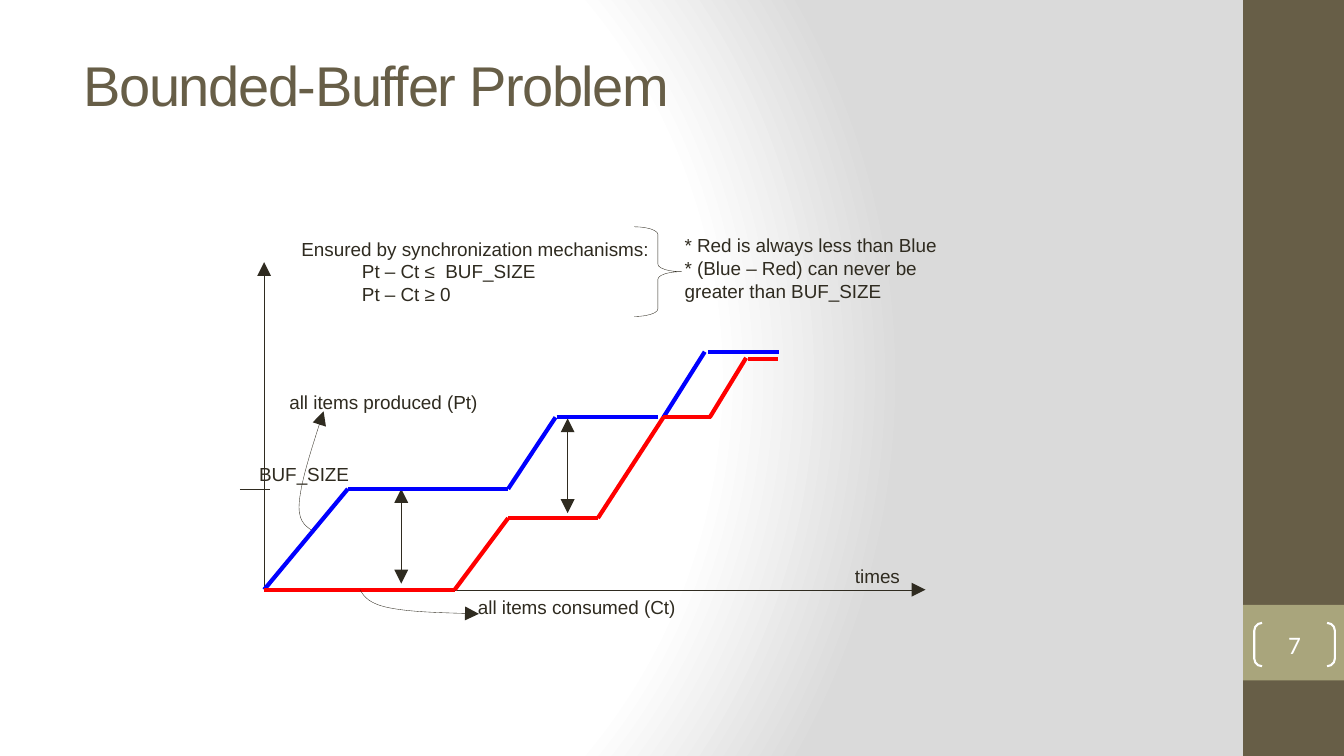
from itertools import pairwise

from pptx import Presentation
from pptx.dml.color import RGBColor
from pptx.enum.shapes import MSO_CONNECTOR as Link, MSO_SHAPE as Preset
from pptx.enum.text import MSO_ANCHOR as Anchor, PP_ALIGN as Align
from pptx.oxml import parse_xml
from pptx.oxml.ns import nsdecls, qn
from pptx.util import Pt
from lxml.etree import SubElement

PX = 9144  # EMU per px, 100 px to the inch
INK, BROWN, OLIVE, WHITE = "2F2B20", "675E47", "A9A57C", "FFFFFF"
BLUE, RED = "0000FF", "FF0000"
THIN, THICK = 0.25, 3

# Content
TITLE = "Bounded-Buffer Problem"
PAGE_NUMBER = "7"
# left, top, width, height, wrap, lines
LABELS = [
    (250, 455, 111, 30, False, ["BUF_SIZE"]),
    (280, 384, 204, 30, False, ["all items produced (Pt)"]),
    (467, 587, 214, 30, False, ["all items consumed (Ct)"]),
    (352, 254, 189, 53, False, ["Pt – Ct ≤  BUF_SIZE", "Pt – Ct ≥ 0"]),
    (292, 232, 364, 30, False, ["Ensured by synchronization mechanisms:"]),
    (841, 556, 60, 30, False, ["times"]),
    (672, 228, 278, 76, True, ["* Red is always less than Blue",
                               "* (Blue – Red) can never be greater than BUF_SIZE"]),
]
ORIGIN, BUFFER_Y = (262, 585), 485
# start, end, arrowheads
RULES = [
    (ORIGIN, (918, 585), ["tailEnd"]),
    (ORIGIN, (262, 260), ["tailEnd"]),
    ((238, BUFFER_Y), (268, BUFFER_Y), []),
    ((398, BUFFER_Y), (398, 579), ["headEnd", "tailEnd"]),
    ((563, 415), (563, 509), ["headEnd", "tailEnd"]),
]
# Each stroke is a chain of points
GRAPHS = {
    BLUE: [
        [ORIGIN, (345, BUFFER_Y), (451, BUFFER_Y), (504, BUFFER_Y), (551, 414)],
        [(552, 414), (653, 414)],
        [(658, 414), (699, 349)],
        [(702, 349), (773, 349)],
    ],
    RED: [
        [ORIGIN, (451, 585), (504, 514), (593, 514), (658, 414), (705, 414)],
        [(704, 414), (740, 355)],
        [(742, 356), (772, 356)],
    ],
}
# Start, then two control points and an end for each Bézier piece
POINTERS = [
    [(309, 526), (302, 521), (295, 516), (297, 497), (299, 477), (310, 442), (321, 408)],
    [(357, 585), (361, 592), (366, 599), (386, 603), (406, 607), (440, 608), (475, 609)],
]


def rgb(value):
    return RGBColor.from_string(value)


def emu(*lengths):
    return [length * PX for length in lengths]


def set_line(shape, color, points, heads=()):
    shape.line.color.rgb = rgb(color)
    shape.line.width = Pt(points)
    for head in heads:
        SubElement(shape.line._get_or_add_ln(), qn(f"a:{head}"),
                   type="triangle", w="lg", len="lg")


def add_line(page, start, end, color, points, heads=()):
    line = page.shapes.add_connector(Link.STRAIGHT, *emu(*start, *end))
    set_line(line, color, points, heads)
    SubElement(line._element.spPr, qn("a:effectLst"))


def add_preset(page, preset, box, fill=None, line=None, points=1):
    shape = page.shapes.add_shape(preset, *emu(*box))
    shape.shadow.inherit = False
    if fill:
        shape.fill.solid()
        shape.fill.fore_color.rgb = rgb(fill)
    else:
        shape.fill.background()
    if line:
        set_line(shape, line, points)
    else:
        shape.line.fill.background()
    return shape


def write(shape, lines, size, color, font, insets, wrap=True):
    frame = shape.text_frame
    frame.word_wrap = wrap
    frame.margin_left = frame.margin_right = insets[0] * PX
    frame.margin_top = frame.margin_bottom = insets[1] * PX
    frame.text = "\n".join(lines)
    for para in frame.paragraphs:
        for span in para.runs:
            span.font.size = Pt(size)
            span.font.name = font
            span.font.color.rgb = rgb(color)
    return frame


def add_pointer(page, points):
    builder = page.shapes.build_freeform(*points[0], scale=PX)
    builder.add_line_segments(points[1:], close=False)
    curve = builder.convert_to_shape()
    curve.shadow.inherit = False
    curve.fill.background()
    set_line(curve, INK, THIN, ["tailEnd"])
    # Turn every three straight pieces into one Bézier piece
    pieces = list(curve._element.iter(qn("a:lnTo")))
    outline = pieces[0].getparent()
    for first in range(0, len(pieces), 3):
        bezier = SubElement(outline, qn("a:cubicBezTo"))
        for piece in pieces[first:first + 3]:
            bezier.append(piece[0])
            outline.remove(piece)


def set_background(page):
    stops = "".join(f'<a:gs pos="{pos}"><a:srgbClr val="{color}"/></a:gs>'
                    for pos, color in [(0, WHITE), (75000, WHITE), (100000, "DADADA")])
    page.element.cSld.insert(0, parse_xml(
        f'<p:bg {nsdecls("p", "a")}><p:bgPr><a:gradFill rotWithShape="1">'
        f'<a:gsLst>{stops}</a:gsLst><a:path path="circle">'
        '<a:fillToRect l="20000" t="50000" r="100000" b="50000"/></a:path>'
        '</a:gradFill><a:effectLst/></p:bgPr></p:bg>'))


def main():
    deck = Presentation()
    deck.slide_width, deck.slide_height = emu(1333, 750)
    page = deck.slides.add_slide(deck.slide_layouts[6])
    set_background(page)

    # Side band and page number
    add_preset(page, Preset.RECTANGLE, (1233, 0, 100, 750), BROWN)
    add_preset(page, Preset.RECTANGLE, (1233, 600, 100, 75), OLIVE)
    bracket = add_preset(page, Preset.DOUBLE_BRACKET, (1244, 618, 80, 43),
                         line=WHITE, points=1.5)
    bracket.adjustments[0] = 0.18
    frame = write(bracket, [PAGE_NUMBER], 18, WHITE, "Calibri", (0, 0))
    frame.vertical_anchor = Anchor.MIDDLE
    frame.paragraphs[0].alignment = Align.CENTER

    # Title
    title = page.shapes.add_textbox(*emu(73, 61, 1170, 45))
    frame = write(title, [TITLE], 40, BROWN, "Arial", (10, 5))
    frame.vertical_anchor = Anchor.MIDDLE
    frame.paragraphs[0].runs[0].font._element.set("spc", "-100")

    # Axes, buffer mark and gap arrows
    for start, end, heads in RULES:
        add_line(page, start, end, INK, THIN, heads)

    # Produced and consumed graphs
    for color, strokes in GRAPHS.items():
        for stroke in strokes:
            for start, end in pairwise(stroke):
                add_line(page, start, end, color, THICK)

    # Curved pointers, labels and brace
    for points in POINTERS:
        add_pointer(page, points)
    for *box, wrap, lines in LABELS:
        label = page.shapes.add_textbox(*emu(*box))
        write(label, lines, 13.5, INK, "Arial", (7, 4), wrap)
    brace = add_preset(page, Preset.RIGHT_BRACE, (629, 225, 47, 89), line=INK, points=THIN)
    brace.adjustments[0] = 0.16

    deck.save("out.pptx")


if __name__ == "__main__":
    main()
